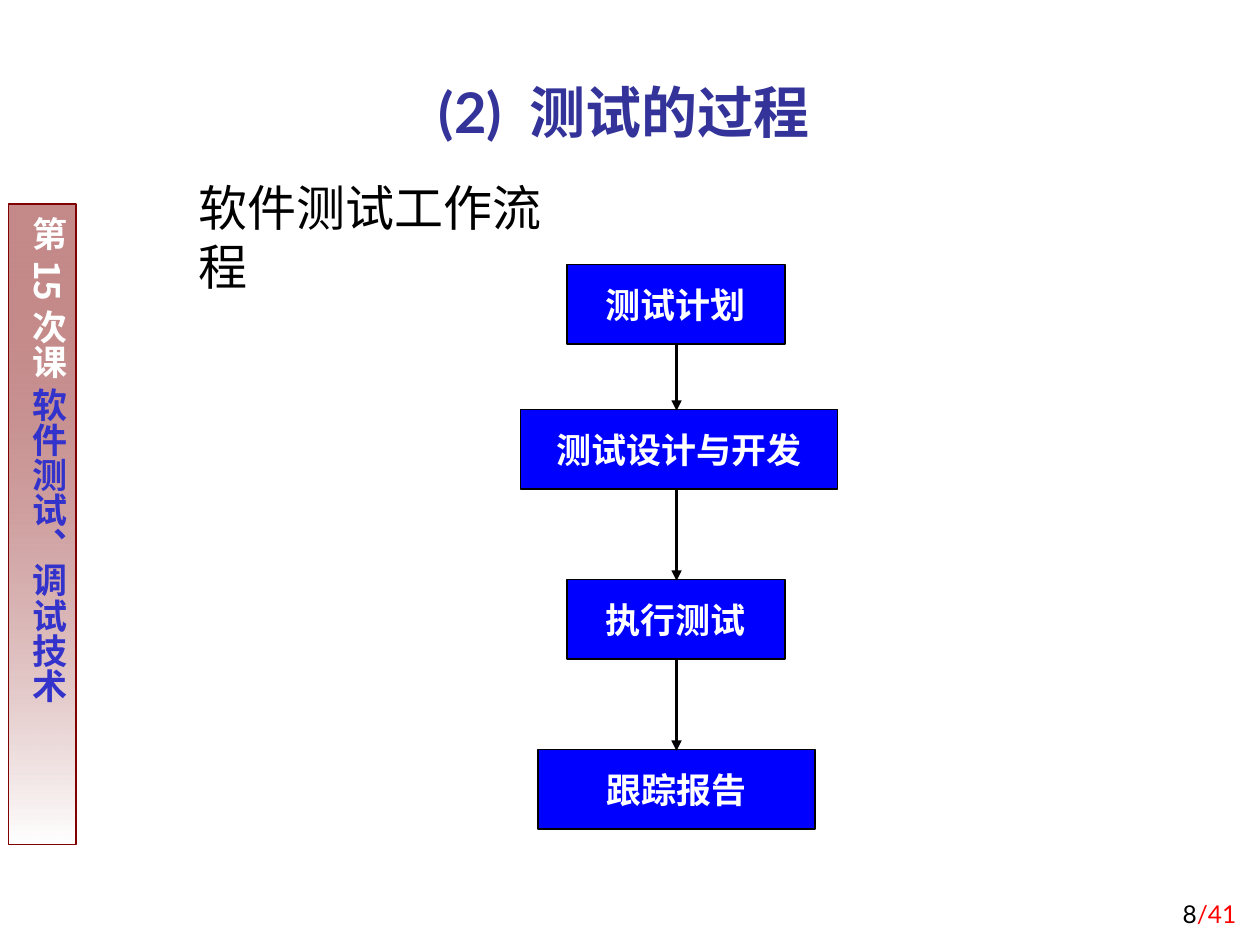
import itertools
from dataclasses import dataclass

import pptx
import pptx.dml.color
import pptx.enum.dml
import pptx.enum.shapes
import pptx.enum.text
import pptx.oxml
import pptx.oxml.ns
import pptx.util
from lxml import etree

Pt = pptx.util.Pt
RGB = pptx.dml.color.RGBColor.from_string
ALIGN = pptx.enum.text.PP_ALIGN
ANCHOR = pptx.enum.text.MSO_ANCHOR
RECTANGLE = pptx.enum.shapes.MSO_SHAPE.RECTANGLE
qn = pptx.oxml.ns.qn


@dataclass(frozen=True)
class Theme:
    black: str = "000000"
    white: str = "FFFFFF"
    red: str = "FF0000"
    maroon: str = "800000"
    blue: str = "0000FF"
    title: str = "333399"
    topic: str = "3333CC"
    latin: str = "Lato"
    chinese: str = "Noto Sans CJK SC"
    title_size: float = 32
    lead_size: float = 28
    label_size: float = 20
    number_size: float = 14


theme = Theme()


def write(shape, *parts, size, font=theme.latin, bold=False, align=ALIGN.LEFT,
          anchor=ANCHOR.TOP, insets=(7.2, 3.6), wrap=True):
    """Fill a shape with one paragraph made of (text, colour) parts."""
    frame = shape.text_frame
    frame.word_wrap = wrap
    frame.vertical_anchor = anchor
    frame.margin_left = frame.margin_right = Pt(insets[0])
    frame.margin_top = frame.margin_bottom = Pt(insets[1])
    para = frame.paragraphs[0]
    para.alignment = align
    for text, colour in parts:
        span = para.add_run()
        span.text = text
        span.font.size = Pt(size)
        span.font.bold = bold
        span.font.name = font
        span.font.color.rgb = RGB(colour)
        etree.SubElement(span.font._element, qn("a:ea"), typeface=theme.chinese)


def add_box(left, top, width, height, line):
    box = slide.shapes.add_shape(RECTANGLE, Pt(left), Pt(top), Pt(width), Pt(height))
    box.shadow.inherit = False
    box.line.color.rgb = RGB(line)
    box.line.width = Pt(0.75)
    return box


deck = pptx.Presentation()
deck.slide_width, deck.slide_height = Pt(720), Pt(540)
slide = deck.slides.add_slide(deck.slide_layouts[6])

# Sidebar with vertical lesson name, fading to white
sidebar = add_box(5, 116.6, 38.4, 366, theme.maroon)
sidebar.fill.gradient()
sidebar.fill.gradient_angle = 270
for stop, colour, position in zip(sidebar.fill.gradient_stops, (theme.maroon, theme.white), (0, 1)):
    stop.color.rgb = RGB(colour)
    stop.position = position
first_colour = sidebar.element.xpath("./p:spPr/a:gradFill//a:srgbClr")[0]
etree.SubElement(first_colour, qn("a:alpha"), val="46000")
write(sidebar, ("第15次课 ", theme.white), ("软件测试、调试技术", theme.topic),
      size=theme.label_size, font=theme.chinese, bold=True, align=ALIGN.CENTER, insets=(3.6, 7.2))
sidebar.text_frame._txBody.bodyPr.set("vert", "eaVert")

# Page number
number = slide.shapes.add_textbox(Pt(563.8), Pt(498.2), Pt(149.8), Pt(36))
write(number, ("8", theme.black), ("/41", theme.red), size=theme.number_size,
      align=ALIGN.RIGHT, anchor=ANCHOR.BOTTOM)

# Title and lead line
title = slide.shapes.add_textbox(Pt(121.7), Pt(26), Pt(470), Pt(56.8))
write(title, ("(2) 测试的过程", theme.title), size=theme.title_size, bold=True,
      align=ALIGN.CENTER, anchor=ANCHOR.BOTTOM, insets=(0, 0))
lead = slide.shapes.add_textbox(Pt(106.6), Pt(98), Pt(237.6), Pt(41))
write(lead, ("软件测试工作流程", theme.black), size=theme.lead_size, wrap=False)

# Steps of the test workflow: text, left, top, width
step_height = 45.4
steps = [
    ("测试计划", 324, 151.2, 124.6),
    ("测试设计与开发", 297.4, 234, 181.4),
    ("执行测试", 324, 331.2, 124.6),
    ("跟踪报告", 307.4, 428.4, 158.4),
]
for text, left, top, width in steps:
    step = add_box(left, top, width, step_height, theme.black)
    step.fill.solid()
    step.fill.fore_color.rgb = RGB(theme.blue)
    write(step, (text, theme.white), size=theme.label_size, bold=True,
          align=ALIGN.CENTER, anchor=ANCHOR.MIDDLE, wrap=False)

# Arrows from each step to the next
arrow_x = 386.6
for (_, _, upper, _), (_, _, lower, _) in itertools.pairwise(steps):
    arrow = slide.shapes.add_connector(pptx.enum.shapes.MSO_CONNECTOR.STRAIGHT, Pt(arrow_x),
                                       Pt(upper + step_height), Pt(arrow_x), Pt(lower + 0.7))
    arrow.line.color.rgb = RGB(theme.black)
    arrow.line.width = Pt(1.5)
    etree.SubElement(arrow.line._get_or_add_ln(), qn("a:tailEnd"), type="triangle")
    etree.SubElement(arrow.element.spPr, qn("a:effectLst"))

deck.save("out.pptx")
